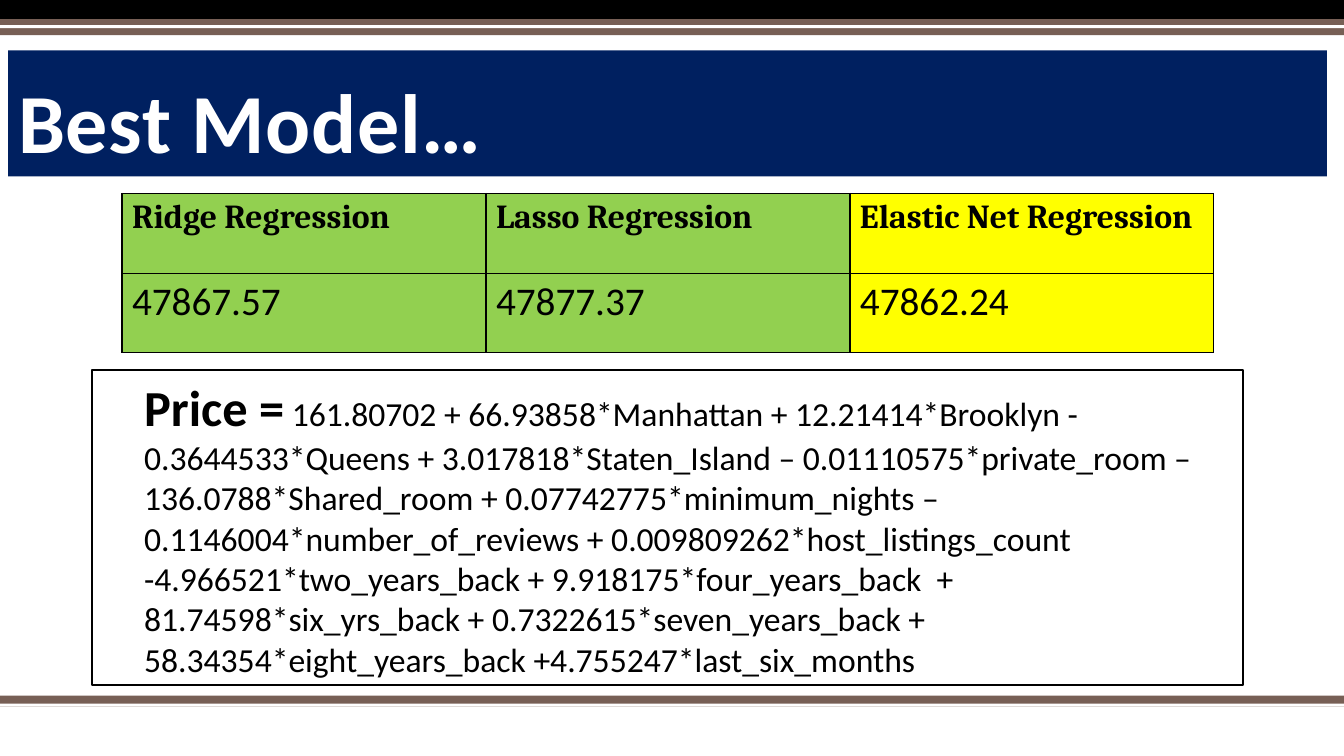
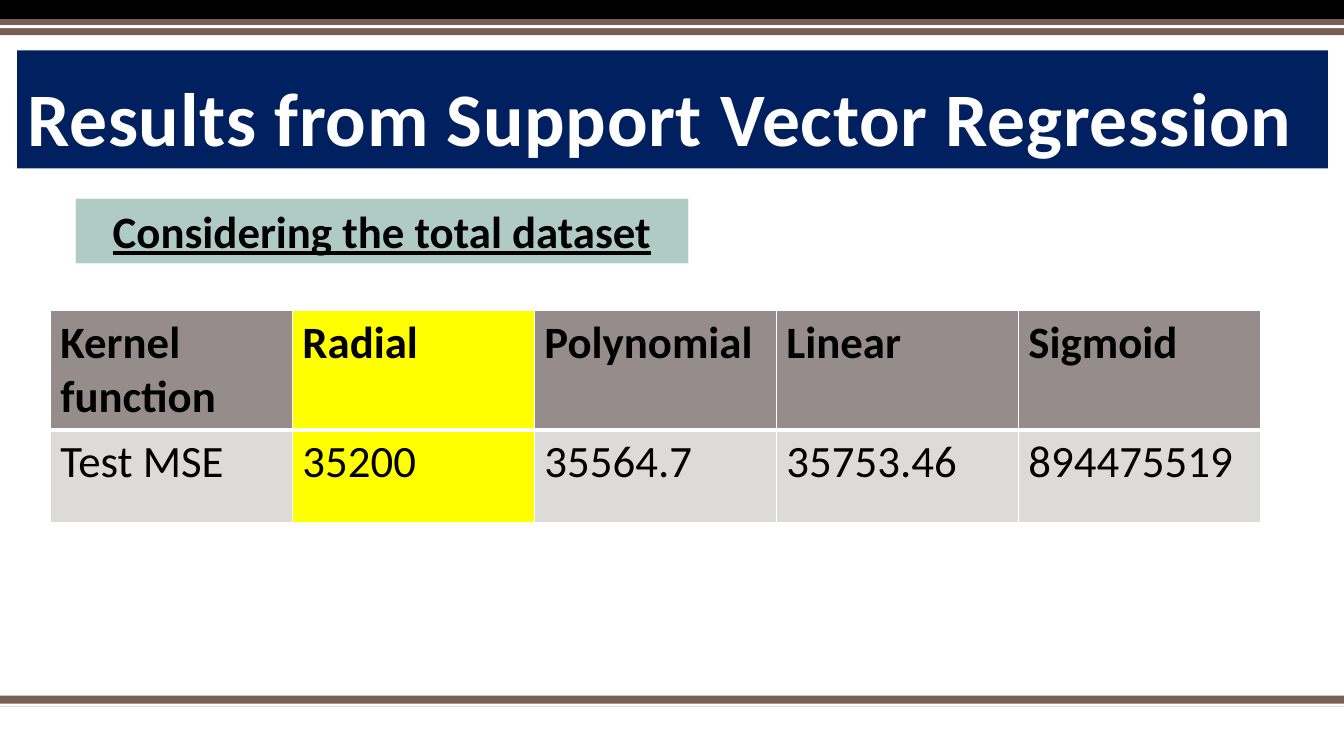
from dataclasses import dataclass

from lxml import etree
from pptx import Presentation
from pptx import util as u
from pptx.dml.color import RGBColor
from pptx.enum import shapes, text
from pptx.oxml.ns import qn


@dataclass(frozen=True)
class Theme:
    black: str = "000000"
    white: str = "FFFFFF"
    brown: str = "775F55"
    navy: str = "002060"
    green: str = "92D050"
    yellow: str = "FFFF00"
    gray: str = "968C8C"
    pale_gray: str = "DDDADA"
    sage: str = "B0CAC4"
    pale_blue: str = "EAF0F6"
    body_font: str = "Calibri"
    accent_font: str = "Cambria"
    small: int = 24
    medium: int = 28
    large: int = 32
    lead: int = 36


theme = Theme()


def write(para, words, size, color=theme.black, name=theme.body_font, **style):
    """Add a formatted run to a paragraph."""
    span = para.add_run()
    span.text = words
    span.font.color.rgb = RGBColor.from_string(color)
    for key, value in {"size": u.Pt(size), "name": name, **style}.items():
        setattr(span.font, key, value)
    return span


def add_box(page, area, fill=None, line=None, line_width=1.0):
    """Add a rectangle with an optional fill and outline."""
    box = page.shapes.add_shape(
        shapes.MSO_SHAPE.RECTANGLE, *[u.Inches(length) for length in area])
    box.shadow.inherit = False
    if fill:
        box.fill.solid()
        box.fill.fore_color.rgb = RGBColor.from_string(fill)
    else:
        box.fill.background()
    if line:
        box.line.color.rgb = RGBColor.from_string(line)
        box.line.width = u.Pt(line_width)
    else:
        box.line.fill.background()
    box.text_frame.word_wrap = True
    box.text_frame.vertical_anchor = text.MSO_ANCHOR.MIDDLE
    return box


deck = Presentation()
deck.slide_width, deck.slide_height = u.Inches(13.33), u.Inches(7.5)
layout = deck.slide_layouts[5]

# Titles: words, size, area
titles = [
    ("Best Model…", 60, (0.08, 0.5, 13.08, 1.25)),
    ("Results from Support Vector Regression", 54, (0.17, 0.5, 13, 1.17)),
]
pages = []
for words, size, area in titles:
    page = deck.slides.add_slide(layout)
    title = page.shapes.title
    for side, length in zip(("left", "top", "width", "height"), area):
        setattr(title, side, u.Inches(length))
    title.fill.solid()
    title.fill.fore_color.rgb = RGBColor.from_string(theme.navy)
    title.text_frame.vertical_anchor = text.MSO_ANCHOR.BOTTOM
    title.text_frame.auto_size = text.MSO_AUTO_SIZE.NONE
    para = title.text_frame.paragraphs[0]
    para.alignment = text.PP_ALIGN.LEFT
    para.line_spacing = 0.9
    span = write(para, words, size, theme.white, bold=True)
    span.font._element.set("spc", "50")
    pages.append(page)
model_page, kernel_page = pages

# Bands shared by all slides: top, height, colour; moved behind the layout
bands = [
    (6.9, 0.11, theme.brown),
    (6.98, 0.03, theme.white),
    (0, 0.19, theme.black),
    (0.19, 0.16, theme.brown),
    (0.25, 0.03, theme.white),
]
for position, (top, height, color) in enumerate(bands, start=2):
    band = add_box(model_page, (0, top, 13.33, height), color)
    layout.element.cSld.spTree.insert(position, band.element)

# Tables: a heading row and a value row, with one column highlighted
tables = [
    {
        "page": model_page, "area": (1.21, 1.92, 10.83, 1.58), "heights": (0.79, 0.79),
        "rows": [("Ridge Regression", "Lasso Regression", "Elastic Net Regression"),
                 ("47867.57", "47877.37", "47862.24")],
        "fills": (theme.green, theme.green), "best": 2,
        "sizes": (theme.small, theme.medium),
        "fonts": (theme.accent_font, theme.body_font),
        "border": theme.black, "divider": 1,
    },
    {
        "page": kernel_page, "area": (0.5, 3.08, 12, 2.1), "heights": (1.18, 0.92),
        "rows": [("Kernel function", "Radial", "Polynomial", "Linear", "Sigmoid"),
                 ("Test MSE", "35200", "35564.7", "35753.46", "894475519")],
        "fills": (theme.gray, theme.pale_gray), "best": 1,
        "sizes": (theme.large, theme.large),
        "fonts": (theme.body_font, theme.body_font),
        "border": theme.white, "divider": 3,
    },
]
for item in tables:
    rows = item["rows"]
    table = item["page"].shapes.add_table(
        len(rows), len(rows[0]), *[u.Inches(length) for length in item["area"]]).table
    for r, row in enumerate(rows):
        table.rows[r].height = u.Inches(item["heights"][r])
        for c, words in enumerate(row):
            cell = table.cell(r, c)
            write(cell.text_frame.paragraphs[0], words, item["sizes"][r],
                  name=item["fonts"][r], bold=r == 0)
            # Borders come before the fill in the cell properties
            properties = cell._tc.get_or_add_tcPr()
            for edge in ("L", "R", "T", "B"):
                on_divider = (r, edge) in ((0, "B"), (1, "T"))
                width = item["divider"] if on_divider else 1
                border = etree.SubElement(
                    properties, qn(f"a:ln{edge}"), w=str(u.Pt(width)))
                fill = etree.SubElement(border, qn("a:solidFill"))
                etree.SubElement(fill, qn("a:srgbClr"), val=item["border"])
            cell.fill.solid()
            color = theme.yellow if c == item["best"] else item["fills"][r]
            cell.fill.fore_color.rgb = RGBColor.from_string(color)

# Price equation
equation = add_box(model_page, (0.91, 3.67, 11.42, 3.13), line=theme.black, line_width=1.5)
equation.text_frame.margin_left = u.Inches(0.52)
para = equation.text_frame.paragraphs[0]
para.alignment = text.PP_ALIGN.LEFT
write(para, "Price =", theme.lead, bold=True)
write(para, " 161.80702 + 66.93858*Manhattan + 12.21414*Brooklyn - "
      "0.3644533*Queens + 3.017818*Staten_Island – 0.01110575*private_room – "
      "136.0788*Shared_room + 0.07742775*minimum_nights – "
      "0.1146004*number_of_reviews + 0.009809262*host_listings_count "
      "-4.966521*two_years_back + 9.918175*four_years_back  + "
      "81.74598*six_yrs_back + 0.7322615*seven_years_back + "
      "58.34354*eight_years_back +4.755247*last_six_months", theme.small, bold=False)

# Data set caption
caption = add_box(kernel_page, (0.75, 1.97, 6.08, 0.64), theme.sage, theme.pale_blue, 0.75)
para = caption.text_frame.paragraphs[0]
para.alignment = text.PP_ALIGN.CENTER
write(para, "Considering the total dataset", theme.large, bold=True, underline=True)

deck.save("out.pptx")
